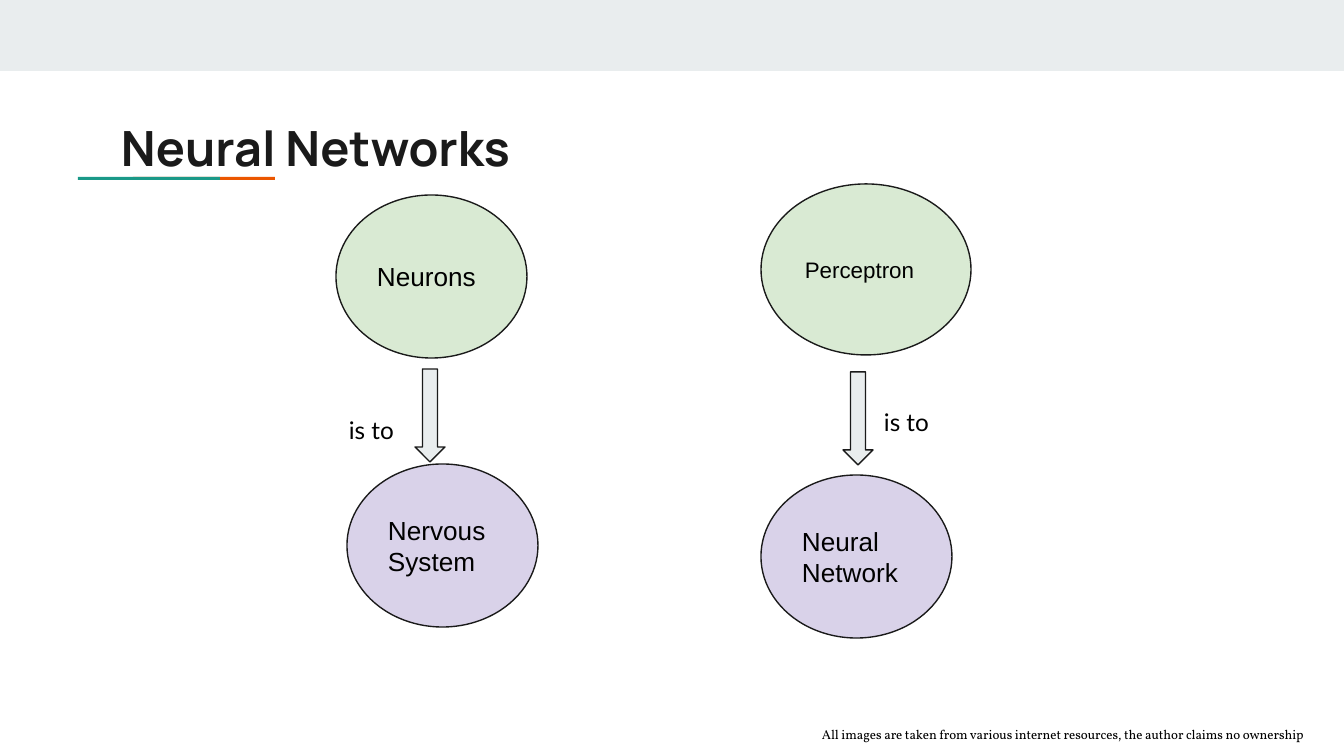
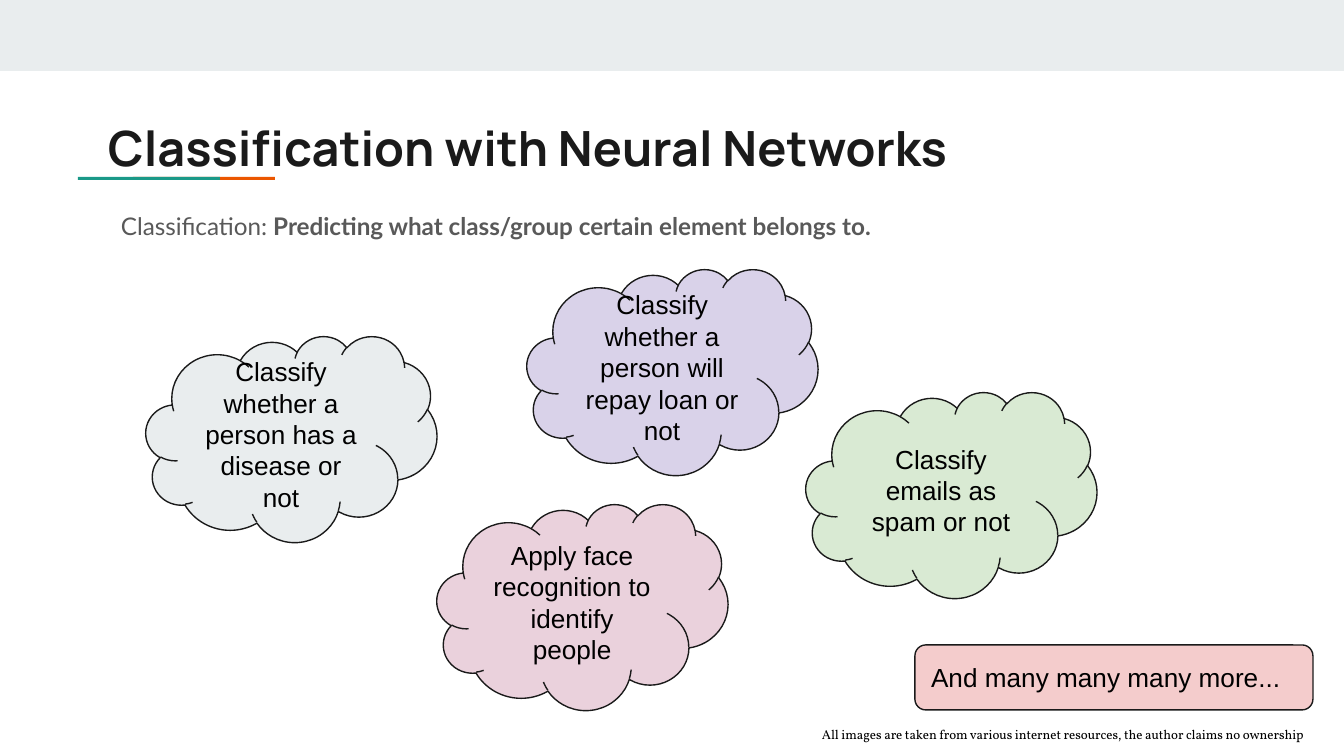
from pptx import Presentation
from pptx.dml.color import RGBColor
from pptx.enum.shapes import MSO_SHAPE
from pptx.enum.text import MSO_ANCHOR, PP_ALIGN
from pptx.util import Emu, Pt

RECT = MSO_SHAPE.RECTANGLE
OVAL = MSO_SHAPE.OVAL
CLOUD = MSO_SHAPE.CLOUD
ARROW = MSO_SHAPE.DOWN_ARROW
PILL = MSO_SHAPE.FLOWCHART_ALTERNATE_PROCESS
TOP, MIDDLE = MSO_ANCHOR.TOP, MSO_ANCHOR.MIDDLE
LEFT, CENTER = PP_ALIGN.LEFT, PP_ALIGN.CENTER

WIDE, HIGH = 1344, 756
SCALE = 9144000 / WIDE
INSET = 13

INK, BLACK, GRAY = "1A1A1A", "000000", "595959"
MIST, TEAL, ORANGE = "E9EDEE", "1A9988", "EB5600"
GREEN, LILAC, PINK, ROSE = "D9EAD3", "D9D2E9", "EAD1DC", "F4CCCC"

CREDIT = "All images are taken from various internet resources, the author claims no ownership"
BANDS = [
    ((0, 0, WIDE, 71), MIST),
    ((133, 177, 142, 3), ORANGE),
    ((78, 177, 142, 3), TEAL),
]

NODES = [
    ("Nervous System", (347, 464, 191, 163), LILAC, 14),
    ("Neurons", (336, 195, 191, 163), GREEN, 14),
    ("Neural Network", (761, 475, 191, 163), LILAC, 14),
    ("Perceptron", (761, 184, 210, 171), GREEN, 12),
]
ARROWS = [(415, 369), (843, 372)]
ARROW_SIZE = (30, 93)
LINK = "is to"
LINKS = [(336, 402), (871, 394)]
LINK_SIZE = (91, 59)

LEAD = [
    ("Classification: ", False),
    ("Predicting what class/group certain element belongs to.", True),
]
CLOUDS = [
    ("Classify whether a person has a disease or not", (146, 336), MIST),
    ("Classify whether a person will repay loan or not", (527, 269), LILAC),
    ("Apply face recognition to identify people", (437, 504), PINK),
    ("Classify emails as spam or not", (806, 392), GREEN),
]
CLOUD_SIZE = (291, 206)
MORE = ("And many many many more...", (915, 645, 398, 65), ROSE)


def px(n):
    return Emu(round(n * SCALE))


def rgb(code):
    return RGBColor.from_string(code)


def write(shape, runs, size, font="Arial", color=BLACK, align=LEFT, anchor=MIDDLE):
    frame = shape.text_frame
    frame.word_wrap = True
    frame.vertical_anchor = anchor
    frame.margin_left = frame.margin_right = px(INSET)
    frame.margin_top = frame.margin_bottom = px(INSET)
    para = frame.paragraphs[0]
    para.alignment = align
    for text, bold in runs:
        run = para.add_run()
        run.text = text
        run.font.name = font
        run.font.size = Pt(size)
        run.font.bold = bold
        run.font.color.rgb = rgb(color)
    return para


def draw(slide, kind, box, fill, line=INK):
    shape = slide.shapes.add_shape(kind, *map(px, box))
    shape.shadow.inherit = False
    shape.fill.solid()
    shape.fill.fore_color.rgb = rgb(fill)
    if line:
        shape.line.color.rgb = rgb(line)
        shape.line.width = Pt(0.75)
    else:
        shape.line.fill.background()
    return shape


def label(slide, box, runs, size, font, color=BLACK):
    shape = slide.shapes.add_textbox(*map(px, box))
    return write(shape, runs, size, font, color, anchor=TOP)


def start(deck, title, left):
    slide = deck.slides.add_slide(deck.slide_layouts[6])
    for box, fill in BANDS:
        draw(slide, RECT, box, fill, None)
    label(slide, (left, 105, 1130, 79), [(title, True)], 26, "Manrope", INK)
    label(slide, (809, 719, 534, 38), [(CREDIT, False)], 7, "Vollkorn")
    return slide


def networks(deck):
    slide = start(deck, "Neural Networks", 108)
    for text, box, fill, size in NODES:
        write(draw(slide, OVAL, box, fill), [(text, False)], size)
    for spot in ARROWS:
        draw(slide, ARROW, spot + ARROW_SIZE, MIST)
    for spot in LINKS:
        label(slide, spot + LINK_SIZE, [(LINK, False)], 13, "Lato")


def classes(deck):
    slide = start(deck, "Classification with Neural Networks", 95)
    para = label(slide, (108, 194, 1130, 106), LEAD, 13, "Lato", GRAY)
    para.line_spacing = 1.15
    para.space_after = Pt(16)
    for text, spot, fill in CLOUDS:
        cloud = draw(slide, CLOUD, spot + CLOUD_SIZE, fill)
        write(cloud, [(text, False)], 14, align=CENTER)
    text, box, fill = MORE
    write(draw(slide, PILL, box, fill), [(text, False)], 14)


def main():
    deck = Presentation()
    deck.slide_width, deck.slide_height = px(WIDE), px(HIGH)
    networks(deck)
    classes(deck)
    deck.save("out.pptx")


if __name__ == "__main__":
    main()
